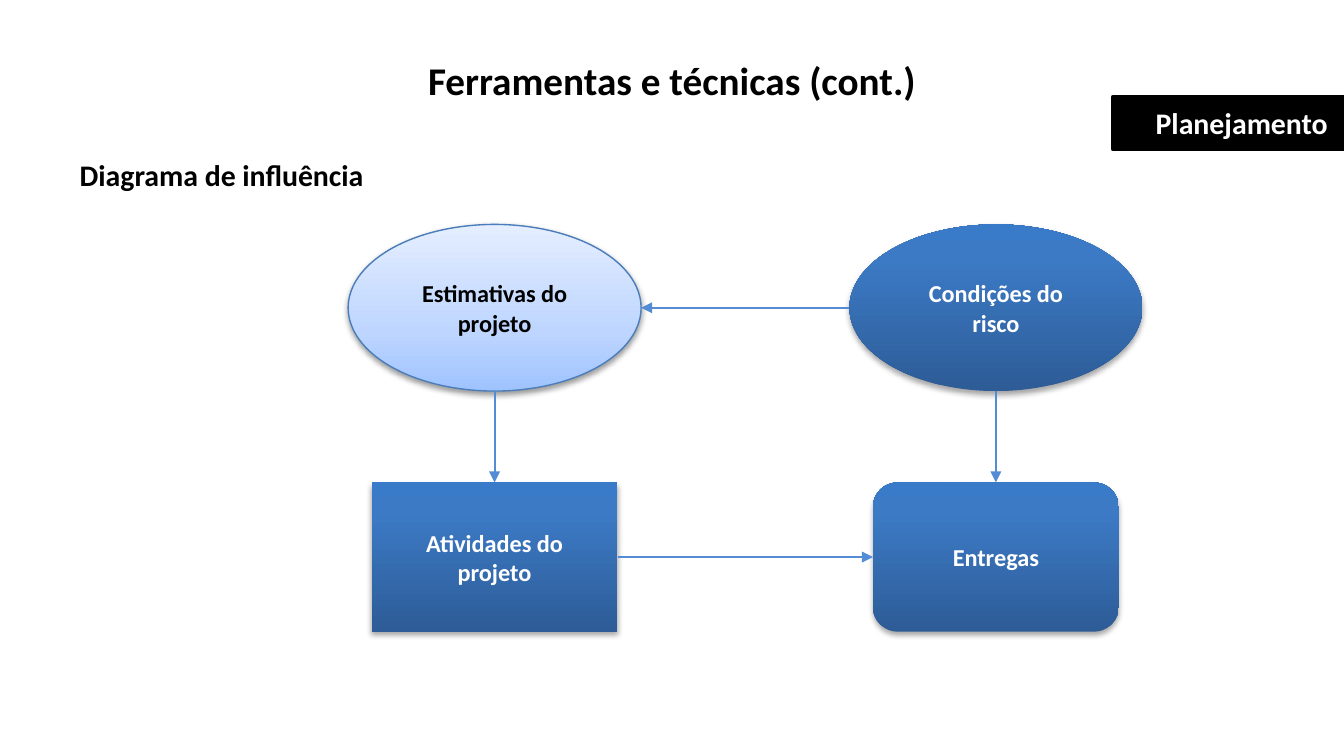
from lxml import etree
from pptx import Presentation
from pptx import util as u
from pptx.dml.color import RGBColor
from pptx.enum import shapes, text
from pptx.oxml.ns import qn

COLORS = {"black": "000000", "white": "FFFFFF", "outline": "4A7DBA", "arrow": "538CD5"}
GRADIENTS = {
    "light": [(0, "9FC3FF"), (35, "BDD5FF"), (100, "E4EEFF")],
    "dark": [(0, "2D5C97"), (80, "3C7AC5"), (100, "397BC9")],
}


def color(name):
    """Return the named palette colour."""
    return RGBColor.from_string(COLORS[name])


def inches(*lengths):
    """Convert lengths in inches to slide units."""
    return [u.Inches(length) for length in lengths]


def write(shape, content, size=13, font_color="black", align="CENTER", anchor="MIDDLE"):
    """Fill a shape with one formatted bold paragraph."""
    frame = shape.text_frame
    frame.word_wrap = True
    frame.auto_size = text.MSO_AUTO_SIZE.NONE
    frame.vertical_anchor = text.MSO_ANCHOR[anchor]
    frame.margin_left = frame.margin_right = u.Inches(0.12)
    frame.margin_top = frame.margin_bottom = u.Inches(0.06)
    paragraph = frame.paragraphs[0]
    paragraph.text = content
    paragraph.alignment = text.PP_ALIGN[align]
    font = paragraph.runs[0].font
    font.name, font.size, font.bold = "Calibri", u.Pt(size), True
    font.color.rgb = color(font_color)


def add_color_element(parent, tag, value, **attributes):
    """Append an element holding an RGB colour and return the colour element."""
    holder = etree.SubElement(parent, qn(tag), attributes)
    return etree.SubElement(holder, qn("a:srgbClr"), val=value)


def fill_gradient(shape, stops):
    """Fill a shape with a gradient that runs from bottom to top."""
    shape.fill.gradient()
    shape.fill.gradient_angle = 90
    stop_list = shape._element.spPr.find(".//" + qn("a:gsLst"))
    stop_list.clear()
    for position, value in stops:
        add_color_element(stop_list, "a:gs", value, pos=str(position * 1000))


def add_shadow(shape, opacity, distance):
    """Give a shape a soft shadow below it."""
    shape.shadow.inherit = False
    effects = shape._element.spPr.find(qn("a:effectLst"))
    shade = add_color_element(
        effects, "a:outerShdw", COLORS["black"], blurRad=str(u.Pt(3.1)),
        dist=str(u.Pt(distance)), dir="5400000", rotWithShape="0")
    etree.SubElement(shade, qn("a:alpha"), val=str(opacity * 1000))


def add_node(slide, kind, label, center, size, light=False):
    """Add a diagram node centred on a point."""
    left, top = (middle - length / 2 for middle, length in zip(center, size))
    shape = slide.shapes.add_shape(shapes.MSO_SHAPE[kind], *inches(left, top, *size))
    fill_gradient(shape, GRADIENTS["light" if light else "dark"])
    if light:
        shape.line.color.rgb = color("outline")
        shape.line.width = u.Pt(0.75)
    else:
        shape.line.fill.background()
    add_shadow(shape, 38 if light else 35, 1.6 if light else 1.8)
    write(shape, label, font_color="black" if light else "white")


def add_arrow(slide, start, end):
    """Add a straight arrow between two points."""
    arrow = slide.shapes.add_connector(
        shapes.MSO_CONNECTOR.STRAIGHT, *inches(*start, *end))
    arrow.line.color.rgb = color("arrow")
    arrow.line.width = u.Pt(1)
    etree.SubElement(arrow.line._get_or_add_ln(), qn("a:tailEnd"), type="triangle")
    etree.SubElement(arrow._element.spPr, qn("a:effectLst"))


def add_header(slide, left, top, width):
    """Place the title, the phase tag and the subtitle."""
    title = slide.shapes.title
    title.left, title.top, title.width, title.height = inches(left, top, width, 0.48)
    write(title, "Ferramentas e técnicas (cont.)", size=21, anchor="TOP")

    tag_width = 1.72
    tag = slide.shapes.add_shape(
        shapes.MSO_SHAPE.RECTANGLE,
        *inches(left + width - tag_width, top + 0.36, tag_width, 0.39))
    tag.shadow.inherit = False
    tag.fill.solid()
    tag.fill.fore_color.rgb = tag.line.color.rgb = color("black")
    tag.line.width = u.Pt(2)
    write(tag, "Planejamento", size=16, font_color="white", align="RIGHT")

    subtitle = slide.shapes.add_textbox(*inches(left + 0.45, top + 0.75, 2.4, 0.4))
    write(subtitle, "Diagrama de influência", size=16, anchor="TOP")


def add_influence_diagram(slide, left, top, width, height):
    """Place four nodes in the corners of a box and join them with arrows."""
    ellipse, box = (2.18, 1.24), (1.83, 1.11)
    first, second = left + ellipse[0] / 2, left + width - ellipse[0] / 2
    upper, lower = top + ellipse[1] / 2, top + height - box[1] / 2

    add_node(slide, "OVAL", "Estimativas do projeto", (first, upper), ellipse, light=True)
    add_node(slide, "OVAL", "Condições do risco", (second, upper), ellipse)
    add_node(slide, "RECTANGLE", "Atividades do projeto", (first, lower), box)
    add_node(slide, "ROUNDED_RECTANGLE", "Entregas", (second, lower), box)

    add_arrow(slide, (second - ellipse[0] / 2, upper), (first + ellipse[0] / 2, upper))
    add_arrow(slide, (first + box[0] / 2, lower), (second - box[0] / 2, lower))
    for column in (first, second):
        add_arrow(slide, (column, top + ellipse[1]), (column, top + height - box[1]))


def main():
    """Build and save the presentation."""
    presentation = Presentation()
    presentation.slide_width = u.Inches(10)
    presentation.slide_height = presentation.slide_width * 9 // 16
    slide = presentation.slides.add_slide(presentation.slide_layouts.get_by_name("Title Only"))
    add_header(slide, 0, 0.36, 10)
    add_influence_diagram(slide, 2.59, 1.67, 5.91, 3.03)
    presentation.save("out.pptx")


if __name__ == "__main__":
    main()
